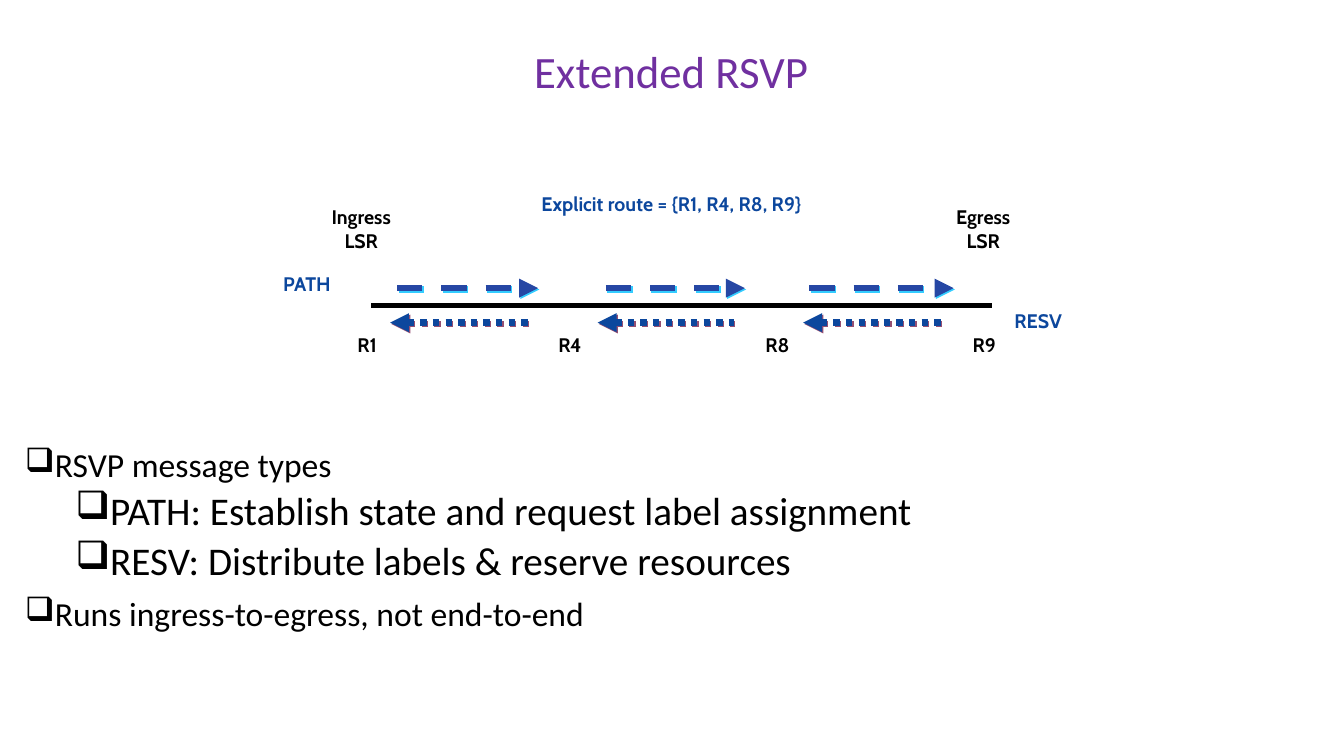
"""Build the Extended RSVP slide."""
from lxml.etree import SubElement
from pptx import Presentation
from pptx.dml.color import RGBColor
from pptx.enum.dml import MSO_LINE as Dash
from pptx.enum.shapes import MSO_CONNECTOR as Connector
from pptx.enum.text import MSO_ANCHOR as Anchor, PP_ALIGN as Align
from pptx.oxml.ns import qn
from pptx.util import Cm, Pt

BLUE, BLACK = "0C479D", "000000"

deck = Presentation()
deck.slide_width, deck.slide_height = Cm(33.87), Cm(19.05)
slide = deck.slides.add_slide(deck.slide_layouts[5])


def write(text, at, holder=None, size=14, face="Cabin", color=BLACK, bold=True,
          align=Align.CENTER, anchor=Anchor.TOP, wrap=False, spacing=None,
          bullets=None):
    box = [Cm(value) for value in at]
    holder = holder or slide.shapes.add_textbox(*box)
    holder.left, holder.top, holder.width, holder.height = box
    frame = holder.text_frame
    frame.word_wrap, frame.vertical_anchor = wrap, anchor
    frame.text = text
    for index, paragraph in enumerate(frame.paragraphs):
        paragraph.alignment, paragraph.line_spacing = align, spacing
        level, points, before = bullets[index] if bullets else (0, size, 0)
        if bullets:
            paragraph.level = level
            properties = paragraph._p.get_or_add_pPr()
            properties.set("marL", str(Cm(1.27 * level)))
            properties.set("indent", "0")
            SubElement(properties, qn("a:buChar"), char="❑")
        paragraph.space_before = Pt(before)
        font = paragraph.font
        font.name, font.size, font.bold = face, Pt(points), bold
        font.color.rgb = RGBColor.from_string(color)


def draw_line(start, end, y, color, width, dash=None, arrow=None, shadow=None):
    link = slide.shapes.add_connector(
        Connector.STRAIGHT, Cm(start), Cm(y), Cm(end), Cm(y))
    link.line.color.rgb = RGBColor.from_string(color)
    link.line.width = Pt(width)
    if dash:
        link.line.dash_style = dash
        SubElement(link.line._ln, qn(arrow), type="triangle")
    effects = SubElement(link._element.spPr, qn("a:effectLst"))
    if shadow:
        cast = SubElement(effects, qn("a:outerShdw"), dist=str(Pt(1.4)),
                          dir="2700000", algn="ctr", rotWithShape="0")
        SubElement(cast, qn("a:srgbClr"), val=shadow)


write("Extended RSVP", (2.31, 0.03, 29.21, 3.68), holder=slide.shapes.title,
      size=32, face="Calibri", color="7030A0", bold=False,
      anchor=Anchor.MIDDLE, wrap=True, spacing=0.9)

messages = [
    "RSVP message types",
    "PATH: Establish state and request label assignment",
    "RESV: Distribute labels & reserve resources",
    "Runs ingress-to-egress, not end-to-end",
]
write("\n".join(messages), (0.38, 11.18, 30.73, 6.32), face="Calibri",
      bold=False, align=Align.LEFT, wrap=True, spacing=0.9,
      bullets=[(0, 24, 0), (1, 28, 5), (1, 28, 5), (0, 24, 10)])

for start, end in [(9.83, 13.41), (15.06, 18.49), (20.24, 23.8)]:
    draw_line(start, end, 8.13, BLUE, 4.5, Dash.ROUND_DOT, "a:headEnd", "954F72")
for start, end in [(10.01, 13.56), (15.27, 18.77), (20.4, 24.03)]:
    draw_line(start, end, 7.26, "2647A4", 4.5, Dash.DASH, "a:tailEnd", "33CCFF")
draw_line(9.35, 24.99, 7.7, BLACK, 3)

write("RESV", (25.25, 7.65, 1.83, 0.84), color=BLUE)
write("PATH", (6.81, 6.73, 1.85, 0.84), color=BLUE, anchor=Anchor.MIDDLE)
for router, left in [("R1", 8.66), ("R4", 13.77), ("R8", 19), ("R9", 24.21)]:
    write(router, (left, 8.26, 1.19, 0.84))
write("Ingress\nLSR", (7.9, 5.05, 2.41, 1.45))
write("Egress\nLSR", (23.7, 5.05, 2.16, 1.45))
write("Explicit route = {R1, R4, R8, R9}", (11.91, 4.72, 10.03, 0.84),
      color=BLUE, wrap=True)

deck.save("out.pptx")
